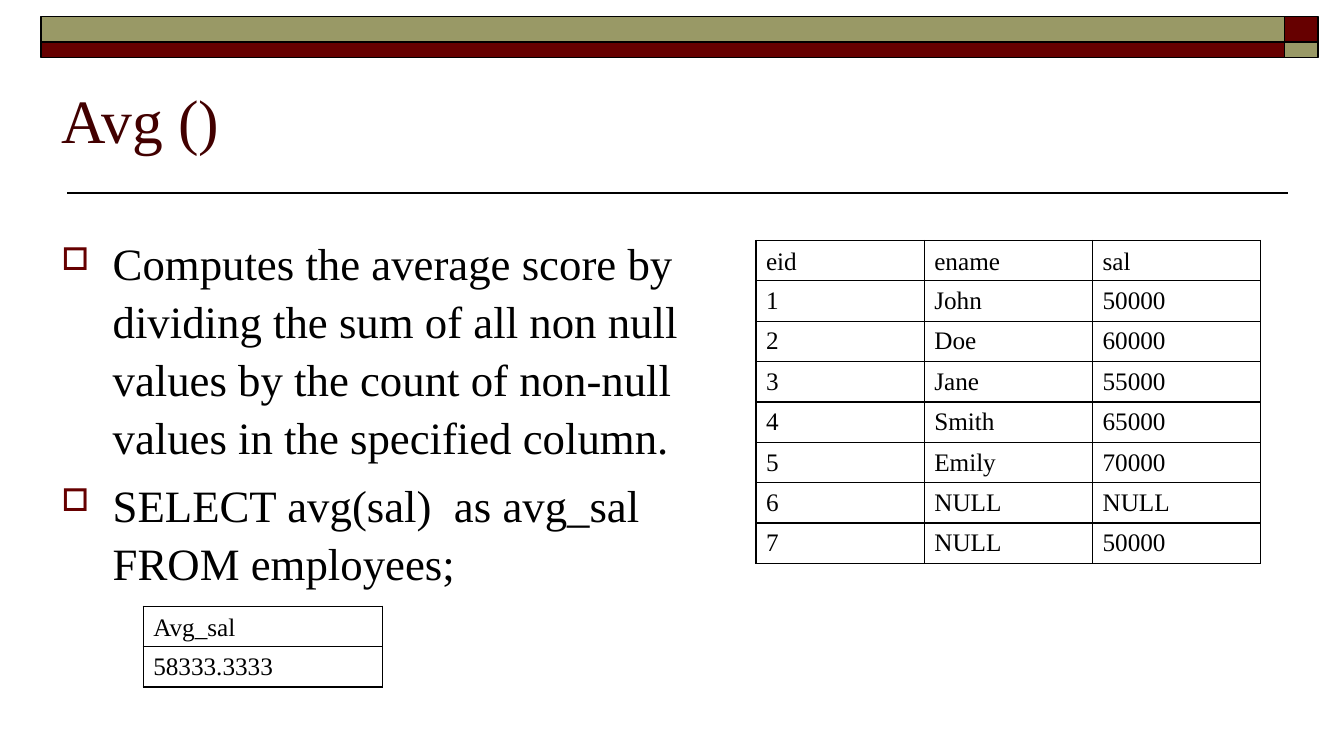
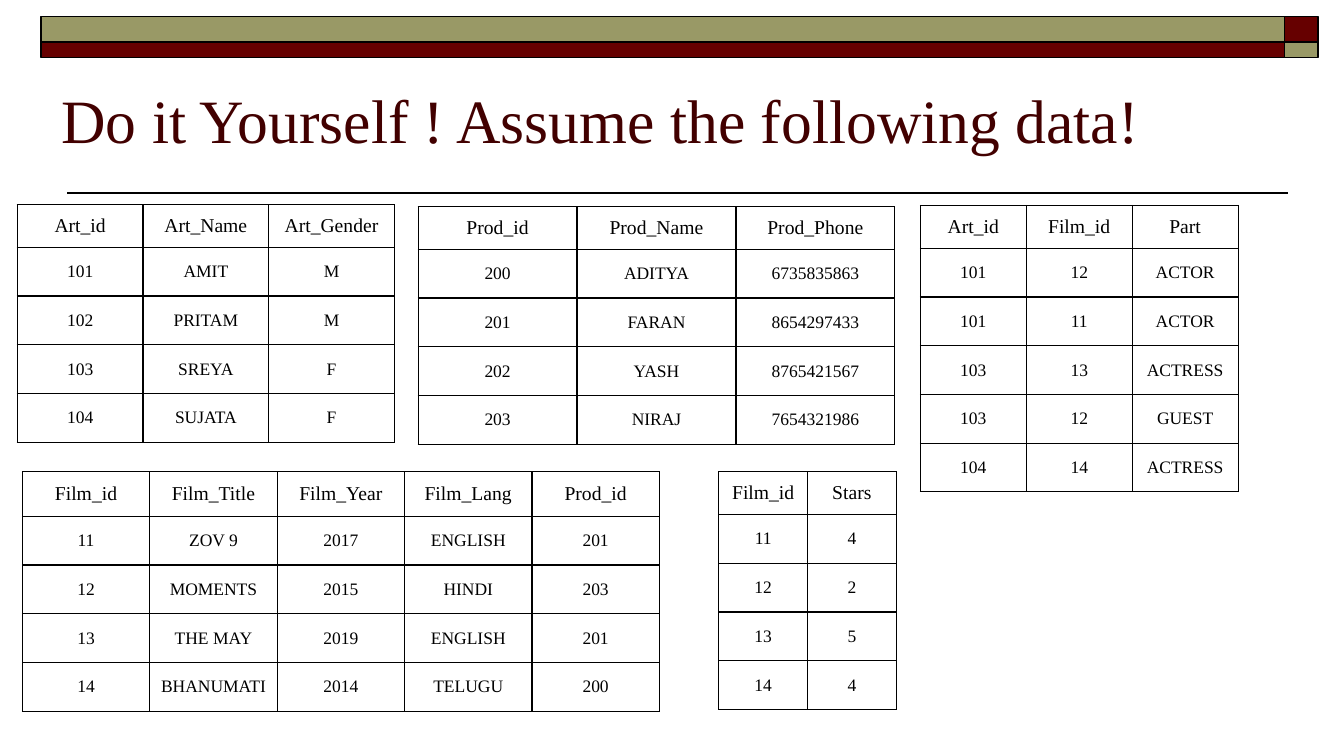
import pptx
import pptx.util
import pptx.dml.color
import pptx.enum.shapes
import pptx.enum.text
import pptx.oxml
import pptx.oxml.ns
import lxml.etree

Pt = pptx.util.Pt
ALIGN = pptx.enum.text.PP_ALIGN
ANCHOR = pptx.enum.text.MSO_ANCHOR
FONT = "Times New Roman"
BLACK, MAROON, OLIVE, DARK = "000000", "660000", "999966", "420000"


def color(code):
    return pptx.dml.color.RGBColor.from_string(code)


def node(parent, tag, **attrs):
    return lxml.etree.SubElement(parent, pptx.oxml.ns.qn(tag), attrs)


def write(para, text, size, code=BLACK):
    run = para.add_run()
    run.text = text
    run.font.name = FONT
    run.font.size = Pt(size)
    run.font.color.rgb = color(code)


# Shared header: two-tone band, title and rule
def band(slide, left, top, widths, heights):
    y = top
    for row, high in enumerate(heights):
        x = left
        for col, wide in enumerate(widths):
            part = slide.shapes.add_shape(
                pptx.enum.shapes.MSO_SHAPE.RECTANGLE, Pt(x), Pt(y), Pt(wide), Pt(high))
            part.shadow.inherit = False
            part.fill.solid()
            part.fill.fore_color.rgb = color(MAROON if row != col else OLIVE)
            part.line.color.rgb = color(BLACK)
            part.line.width = Pt(1)
            x += wide
        y += high


def rule(slide, left, right, y):
    line = slide.shapes.add_connector(
        pptx.enum.shapes.MSO_CONNECTOR.STRAIGHT, Pt(left), Pt(y), Pt(right), Pt(y))
    line.line.color.rgb = color(BLACK)
    line.line.width = Pt(1)
    node(line._element.spPr, "a:effectLst")


def page(deck, text):
    slide = deck.slides.add_slide(deck.slide_layouts[5])
    band(slide, 29.4, 12, (888, 24), (18, 11))
    rule(slide, 48, 920, 138)
    title = slide.shapes.title
    title.left, title.top, title.width, title.height = Pt(36.7), Pt(25), Pt(864), Pt(90)
    frame = title.text_frame
    frame.auto_size = pptx.enum.text.MSO_AUTO_SIZE.NONE
    frame.vertical_anchor = ANCHOR.BOTTOM
    para = frame.paragraphs[0]
    para.alignment = ALIGN.LEFT
    write(para, text, 44, DARK)
    return slide


# Square-bulleted text
def points(slide, left, top, width, height, texts):
    box = slide.shapes.add_textbox(Pt(left), Pt(top), Pt(width), Pt(height))
    frame = box.text_frame
    frame.word_wrap = True
    for i, text in enumerate(texts):
        para = frame.add_paragraph() if i else frame.paragraphs[0]
        para.line_spacing = 1.08
        para.space_before = Pt(6.4 if i else 0)
        props = para._p.get_or_add_pPr()
        props.set("marL", str(Pt(36.7)))
        props.set("indent", str(-Pt(36.7)))
        node(node(props, "a:buClr"), "a:srgbClr", val=MAROON)
        node(props, "a:buSzPct", val="70000")
        node(props, "a:buChar", char="□")
        write(para, text, 32)


# Tables: plain cells with thin black borders
def border(cell):
    props = cell._tc.get_or_add_tcPr()
    for i, side in enumerate(("a:lnL", "a:lnR", "a:lnT", "a:lnB")):
        line = lxml.etree.Element(pptx.oxml.ns.qn(side), w=str(Pt(1)))
        node(node(line, "a:solidFill"), "a:srgbClr", val=BLACK)
        props.insert(i, line)


def grid(slide, left, top, width, rows, head, body, center=False):
    """head and body are (row height, text size, anchor, side inset, top inset)."""
    count = len(rows[0])
    high = head[0] + body[0] * (len(rows) - 1)
    table = slide.shapes.add_table(
        len(rows), count, Pt(left), Pt(top), Pt(width), Pt(high)).table
    table.first_row = table.horz_banding = False
    for col in table.columns:
        col.width = Pt(width / count)
    for r, row in enumerate(rows):
        tall, size, anchor, side, inset = body if r else head
        table.rows[r].height = Pt(tall)
        for c, text in enumerate(row):
            cell = table.cell(r, c)
            cell.fill.background()
            border(cell)
            cell.vertical_anchor = anchor
            cell.margin_left = cell.margin_right = Pt(side)
            cell.margin_top = cell.margin_bottom = Pt(inset)
            para = cell.text_frame.paragraphs[0]
            para.alignment = ALIGN.CENTER if center else ALIGN.LEFT
            write(para, text, size)


def query(slide, left, top, width, rows):
    grid(slide, left, top, width, rows,
         (27.2, 18, ANCHOR.BOTTOM, 7.2, 3.6), (27.2, 18, ANCHOR.MIDDLE, 7.2, 3.6))


def data(slide, left, top, width, rows, head=30.5):
    grid(slide, left, top, width, rows,
         (head, 14, ANCHOR.MIDDLE, 6, 7.5), (34.8, 12.5, ANCHOR.MIDDLE, 6, 10.5), True)


STAFF = [
    ("eid", "ename", "sal"), ("1", "John", "50000"), ("2", "Doe", "60000"),
    ("3", "Jane", "55000"), ("4", "Smith", "65000"), ("5", "Emily", "70000"),
    ("6", "NULL", "NULL"), ("7", "NULL", "50000")]
ARTISTS = [
    ("Art_id", "Art_Name", "Art_Gender"), ("101", "AMIT", "M"),
    ("102", "PRITAM", "M"), ("103", "SREYA", "F"), ("104", "SUJATA", "F")]
MAKERS = [
    ("Prod_id", "Prod_Name", "Prod_Phone"), ("200", "ADITYA", "6735835863"),
    ("201", "FARAN", "8654297433"), ("202", "YASH", "8765421567"),
    ("203", "NIRAJ", "7654321986")]
FILMS = [
    ("Film_id", "Film_Title", "Film_Year", "Film_Lang", "Prod_id"),
    ("11", "ZOV 9", "2017", "ENGLISH", "201"),
    ("12", "MOMENTS", "2015", "HINDI", "203"),
    ("13", "THE MAY", "2019", "ENGLISH", "201"),
    ("14", "BHANUMATI", "2014", "TELUGU", "200")]
CASTING = [
    ("Art_id", "Film_id", "Part"), ("101", "12", "ACTOR"), ("101", "11", "ACTOR"),
    ("103", "13", "ACTRESS"), ("103", "12", "GUEST"), ("104", "14", "ACTRESS")]
STARS = [("Film_id", "Stars"), ("11", "4"), ("12", "2"), ("13", "5"), ("14", "4")]


def average(deck):
    slide = page(deck, "Avg ()")
    points(slide, 36.7, 162, 484.6, 329, (
        "Computes the average score by dividing the sum of all non null values "
        "by the count of non-null values in the specified column.",
        "SELECT avg(sal)  as avg_sal FROM employees;"))
    query(slide, 540, 171.8, 360.6, STAFF)
    query(slide, 102.3, 433, 171, [("Avg_sal",), ("58333.3333",)])


def practice(deck):
    slide = page(deck, "Do it Yourself ! Assume the following data!")
    data(slide, 12.4, 146.2, 269.4, ARTISTS)
    data(slide, 298.7, 147.6, 340.5, MAKERS)
    data(slide, 16, 337, 455, FILMS, 31.7)
    data(slide, 657.4, 146.8, 227, CASTING)
    data(slide, 513.5, 337, 126.7, STARS)


def main():
    deck = pptx.Presentation()
    deck.slide_width, deck.slide_height = Pt(960), Pt(540)
    average(deck)
    practice(deck)
    deck.save("out.pptx")


if __name__ == "__main__":
    main()
